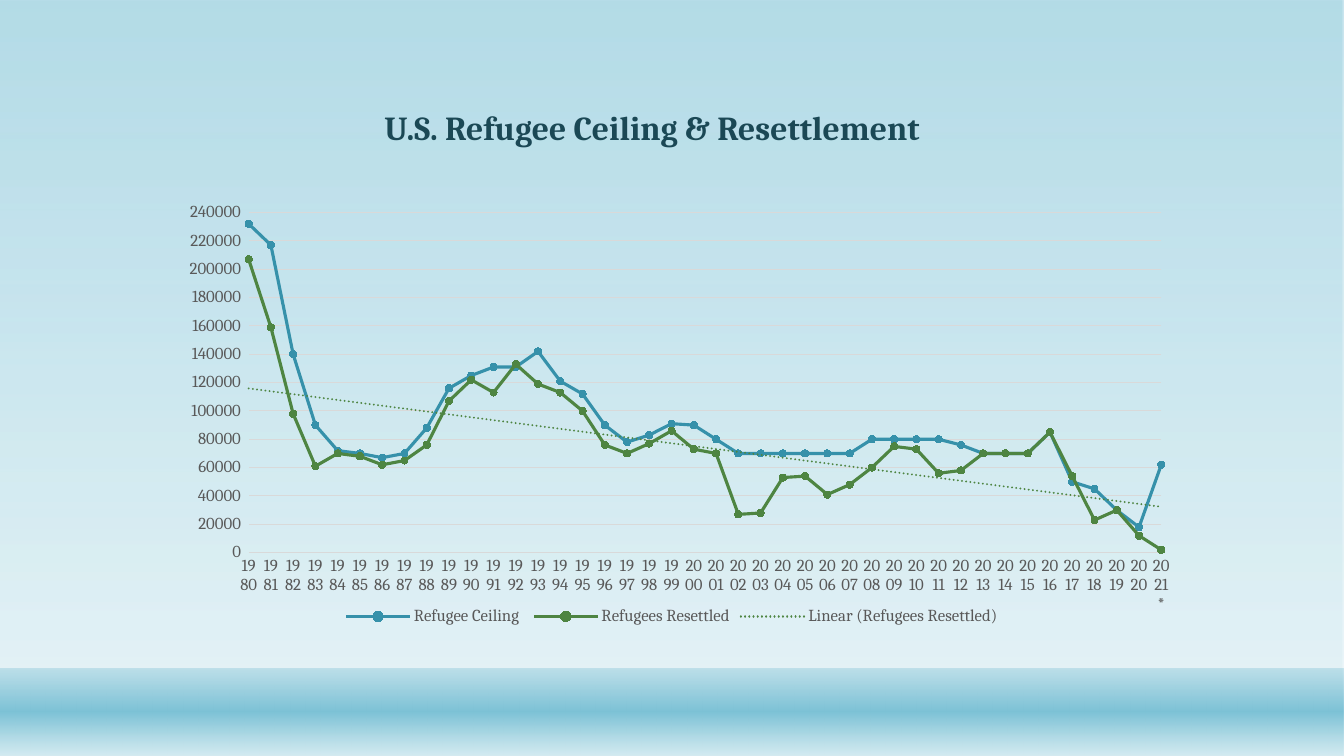
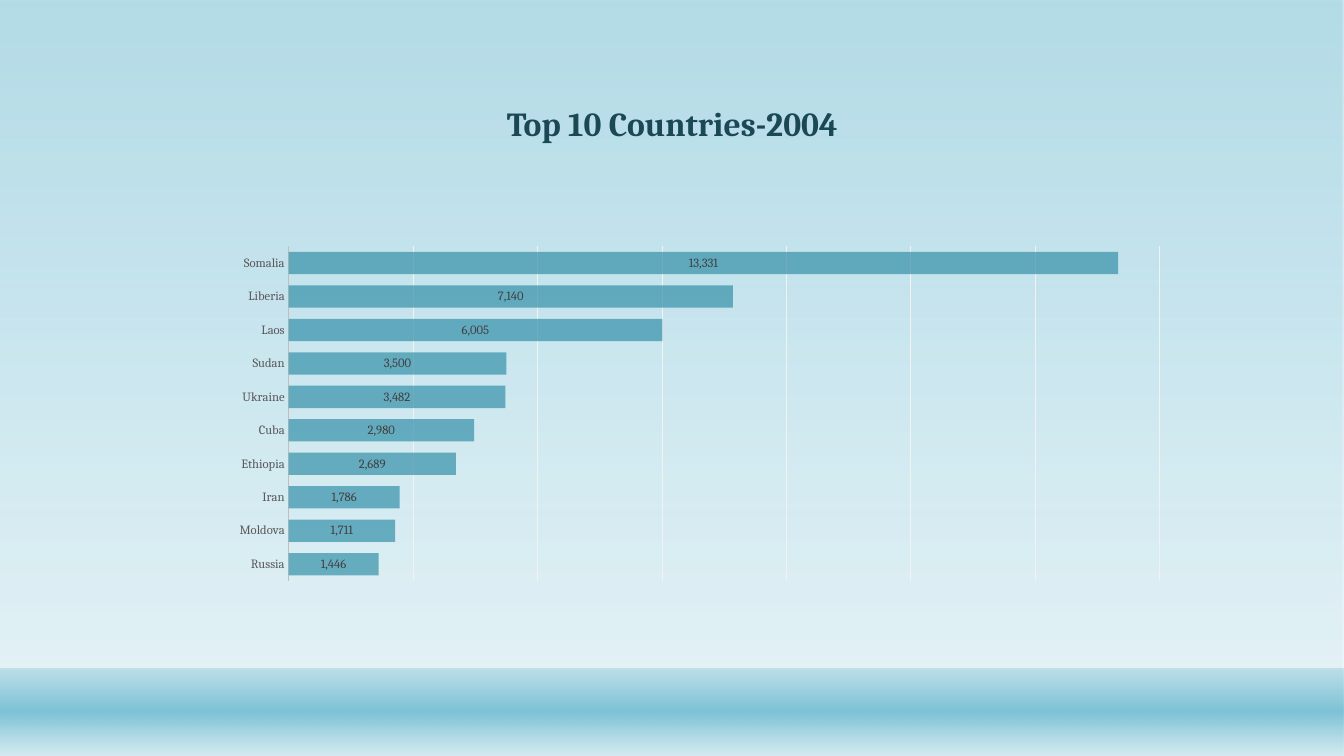
from dataclasses import dataclass

from lxml import etree
from pptx import Presentation
from pptx.chart.chart import Chart
from pptx.chart.data import CategoryChartData
from pptx.dml.color import RGBColor
from pptx.enum.chart import (XL_CHART_TYPE, XL_LABEL_POSITION, XL_LEGEND_POSITION,
                             XL_MARKER_STYLE, XL_TICK_MARK)
from pptx.enum.shapes import MSO_SHAPE
from pptx.enum.text import MSO_ANCHOR, PP_ALIGN
from pptx.oxml import parse_xml
from pptx.oxml.ns import nsdecls, qn
from pptx.slide import Slide
from pptx.util import Pt

LINE_MARKERS = XL_CHART_TYPE.LINE_MARKERS
BAR_STACKED = XL_CHART_TYPE.BAR_STACKED
CIRCLE = XL_MARKER_STYLE.CIRCLE
NO_TICK = XL_TICK_MARK.NONE
LEGEND_BOTTOM = XL_LEGEND_POSITION.BOTTOM
LABEL_CENTER = XL_LABEL_POSITION.CENTER
RECTANGLE = MSO_SHAPE.RECTANGLE
BOTTOM = MSO_ANCHOR.BOTTOM
LEFT = PP_ALIGN.LEFT
CENTER = PP_ALIGN.CENTER

EMU_PER_PX = 9525
PAGE_WIDTH, PAGE_HEIGHT = 1280, 720
FONT = "Cambria"
COLORS = {
    "aqua": "7DC2D6",
    "mist": "D4EBF1",
    "title": "1B4855",
    "teal": "3691AA",
    "green": "4E8542",
    "axis_text": "595959",
    "label_text": "404040",
    "black": "000000",
    "grid": "D9D9D9",
    "pale_grid": "F2F2F2",
    "axis_line": "BFBFBF",
}
COUNT_FORMAT = '_(* #,##0_);_(* \\(#,##0\\);_(* "-"??_);_('


@dataclass(frozen=True)
class Area:
    left: int
    top: int
    width: int
    height: int

    def emu(self) -> tuple[int, ...]:
        return tuple(px(side) for side in (self.left, self.top, self.width, self.height))


@dataclass(frozen=True)
class Stop:
    position: int
    color: str
    opacity: int


@dataclass(frozen=True)
class Band:
    area: Area
    stops: tuple[Stop, ...]


@dataclass(frozen=True)
class LineSeries:
    name: str
    color: str
    thousands: tuple[int, ...]


BANDS = (
    Band(Area(0, 0, PAGE_WIDTH, PAGE_HEIGHT),
         (Stop(0, "aqua", 58), Stop(88, "mist", 65))),
    Band(Area(0, 637, PAGE_WIDTH, 83),
         (Stop(1, "aqua", 38), Stop(49, "aqua", 100), Stop(100, "mist", 89))),
)
YEARS = [str(year) for year in range(1980, 2021)] + ["2021*"]
REFUGEE_SERIES = (
    LineSeries("Refugee Ceiling ", "teal", (
        232, 217, 140, 90, 72, 70, 67, 70, 88, 116, 125, 131, 131, 142,
        121, 112, 90, 78, 83, 91, 90, 80, 70, 70, 70, 70, 70, 70,
        80, 80, 80, 80, 76, 70, 70, 70, 85, 50, 45, 30, 18, 62)),
    LineSeries("Refugees Resettled", "green", (
        207, 159, 98, 61, 70, 68, 62, 65, 76, 107, 122, 113, 133, 119,
        113, 100, 76, 70, 77, 86, 73, 70, 27, 28, 53, 54, 41, 48,
        60, 75, 73, 56, 58, 70, 70, 70, 85, 54, 23, 30, 12, 2)),
)
COUNTRIES = {
    "Russia": 1446, "Moldova": 1711, "Iran": 1786, "Ethiopia": 2689, "Cuba": 2980,
    "Ukraine": 3482, "Sudan": 3500, "Laos": 6005, "Liberia": 7140, "Somalia": 13331,
}


def px(length: int) -> int:
    return length * EMU_PER_PX


def rgb(name: str) -> RGBColor:
    return RGBColor.from_string(COLORS[name])


def format_font(font, size: int, color: str, bold: bool = False) -> None:
    font.name = FONT
    font.size = Pt(size)
    font.bold = bold
    font.color.rgb = rgb(color)


def format_line(line, color: str, width: float) -> None:
    line.color.rgb = rgb(color)
    line.width = Pt(width)


def add_band(page: Slide, band: Band) -> None:
    box = page.shapes.add_shape(RECTANGLE, *band.area.emu())
    box.shadow.inherit = False
    box.line.fill.background()
    box.fill.background()
    stops = "".join(
        f'<a:gs pos="{stop.position * 1000}"><a:srgbClr val="{COLORS[stop.color]}">'
        f'<a:alpha val="{stop.opacity * 1000}"/></a:srgbClr></a:gs>'
        for stop in band.stops)
    gradient = parse_xml(
        f'<a:gradFill {nsdecls("a")} rotWithShape="1"><a:gsLst>{stops}</a:gsLst>'
        '<a:lin ang="5400000" scaled="0"/></a:gradFill>')
    empty_fill = box.element.xpath("p:spPr/a:noFill")[0]
    empty_fill.getparent().replace(empty_fill, gradient)


def add_title(page: Slide, text: str, area: Area, *, align=CENTER,
              left_inset: int = 10, bottom_inset: int = 5) -> None:
    box = page.shapes.add_textbox(*area.emu())
    frame = box.text_frame
    frame.word_wrap = True
    frame.vertical_anchor = BOTTOM
    frame.margin_left = px(left_inset)
    frame.margin_bottom = px(bottom_inset)
    para = frame.paragraphs[0]
    para.alignment = align
    para.line_spacing = 0.9
    span = para.add_run()
    span.text = text
    format_font(span.font, 24, "title", bold=True)


def add_page(deck) -> Slide:
    page = deck.slides.add_slide(deck.slide_layouts[6])
    for band in BANDS:
        add_band(page, band)
    return page


def place_plot(chart: Chart, x: float, y: float, w: float, h: float) -> None:
    plot_area = chart.element.xpath("c:chart/c:plotArea")[0]
    for layout in plot_area.xpath("c:layout"):
        plot_area.remove(layout)
    sides = "".join(f'<c:{side} val="{value}"/>'
                    for side, value in zip("xywh", (x, y, w, h)))
    plot_area.insert(0, parse_xml(
        f'<c:layout {nsdecls("c")}><c:manualLayout><c:layoutTarget val="inner"/>'
        f'<c:xMode val="edge"/><c:yMode val="edge"/>{sides}</c:manualLayout></c:layout>'))


def format_axis(axis, size: int) -> None:
    axis.major_tick_mark = NO_TICK
    axis.minor_tick_mark = NO_TICK
    format_font(axis.tick_labels.font, size, "axis_text")


def format_value_axis(axis, maximum: int, step: int, grid_color: str) -> None:
    axis.minimum_scale = 0
    axis.maximum_scale = maximum
    axis.major_unit = step
    axis.has_major_gridlines = True
    format_line(axis.major_gridlines.format.line, grid_color, 0.75)


def add_chart(page: Slide, kind, area: Area, data: CategoryChartData, axis_size: int,
              axis_line: str) -> Chart:
    chart = page.shapes.add_chart(kind, *area.emu(), data).chart
    chart.has_title = False
    chart.has_legend = False
    format_font(chart.font, 10, "black")
    chart.plots[0].vary_by_categories = False
    format_axis(chart.category_axis, axis_size)
    format_line(chart.category_axis.format.line, axis_line, 0.75)
    format_axis(chart.value_axis, axis_size)
    return chart


def start_lines_on_axis(chart: Chart) -> None:
    axis = chart.element.xpath(".//c:valAx")[0]
    for crossing in axis.xpath("c:crossBetween"):
        axis.remove(crossing)
    axis.xpath("c:crosses")[0].addnext(
        parse_xml(f'<c:crossBetween {nsdecls("c")} val="midCat"/>'))


def wrap_category_labels(chart: Chart) -> None:
    label_body = chart.element.xpath(".//c:catAx/c:txPr/a:bodyPr")[0]
    label_body.set("rot", "0")
    label_body.set("vert", "horz")


def add_trend_line(chart: Chart, series_index: int, color: str) -> None:
    series = chart.element.xpath(".//c:ser")[series_index]
    series.xpath("c:cat")[0].addprevious(parse_xml(
        f'<c:trendline {nsdecls("c", "a")}><c:spPr><a:ln w="{Pt(1.5)}" cap="rnd">'
        f'<a:solidFill><a:srgbClr val="{COLORS[color]}"/></a:solidFill>'
        '<a:prstDash val="sysDot"/></a:ln></c:spPr><c:trendlineType val="linear"/>'
        '<c:dispRSqr val="0"/><c:dispEq val="0"/></c:trendline>'))


def add_legend(chart: Chart, hidden_entry: int) -> None:
    chart.has_legend = True
    chart.legend.position = LEGEND_BOTTOM
    chart.legend.include_in_layout = False
    format_font(chart.legend.font, 12, "axis_text")
    chart.element.xpath(".//c:legend/c:legendPos")[0].addnext(parse_xml(
        f'<c:legendEntry {nsdecls("c")}><c:idx val="{hidden_entry}"/>'
        '<c:delete val="1"/></c:legendEntry>'))


def add_refugee_chart(page: Slide) -> None:
    data = CategoryChartData()
    data.categories = YEARS
    for entry in REFUGEE_SERIES:
        data.add_series(entry.name, [value * 1000 for value in entry.thousands])
    chart = add_chart(page, LINE_MARKERS, Area(141, 165, 998, 435), data, 12, "grid")
    for entry, series in zip(REFUGEE_SERIES, chart.plots[0].series):
        series.smooth = False
        format_line(series.format.line, entry.color, 2.25)
        series.marker.style = CIRCLE
        series.marker.size = 5
        series.marker.format.fill.solid()
        series.marker.format.fill.fore_color.rgb = rgb(entry.color)
        format_line(series.marker.format.line, entry.color, 0.75)
    axis = chart.value_axis
    format_value_axis(axis, 250000, 20000, "grid")
    axis.format.line.fill.background()
    axis.tick_labels.number_format = "0_);\\(0\\)"
    axis.tick_labels.number_format_is_linked = False
    wrap_category_labels(chart)
    start_lines_on_axis(chart)
    add_trend_line(chart, 1, "green")
    add_legend(chart, len(REFUGEE_SERIES))
    place_plot(chart, 0.096, 0.055, 0.871, 0.776)


def add_country_chart(page: Slide) -> None:
    data = CategoryChartData()
    data.categories = list(COUNTRIES)
    data.add_series("Series 1", list(COUNTRIES.values()))
    chart = add_chart(page, BAR_STACKED, Area(141, 165, 1022, 435), data, 9, "axis_line")
    format_value_axis(chart.value_axis, 14000, 2000, "pale_grid")
    chart.value_axis.visible = False
    plot = chart.plots[0]
    plot.gap_width = 50
    plot.overlap = 100
    series = plot.series[0]
    series.invert_if_negative = False
    series.format.fill.solid()
    series.format.fill.fore_color.rgb = rgb("teal")
    bar_color = chart.element.xpath(".//c:ser/c:spPr/a:solidFill/a:srgbClr")[0]
    etree.SubElement(bar_color, qn("a:alpha")).set("val", "70000")
    labels = series.data_labels
    labels.show_value = True
    labels.position = LABEL_CENTER
    labels.number_format = COUNT_FORMAT
    labels.number_format_is_linked = False
    format_font(labels.font, 9, "label_text")
    place_plot(chart, 0.131, 0.16, 0.812, 0.733)


def main() -> None:
    deck = Presentation()
    deck.slide_width = px(PAGE_WIDTH)
    deck.slide_height = px(PAGE_HEIGHT)

    page = add_page(deck)
    add_title(page, "U.S. Refugee Ceiling & Resettlement", Area(275, 89, 713, 61),
              align=LEFT, left_inset=91, bottom_inset=9)
    add_refugee_chart(page)

    page = add_page(deck)
    add_title(page, "Top 10 Countries-2004", Area(141, 28, 998, 114))
    add_country_chart(page)

    deck.save("out.pptx")


if __name__ == "__main__":
    main()
